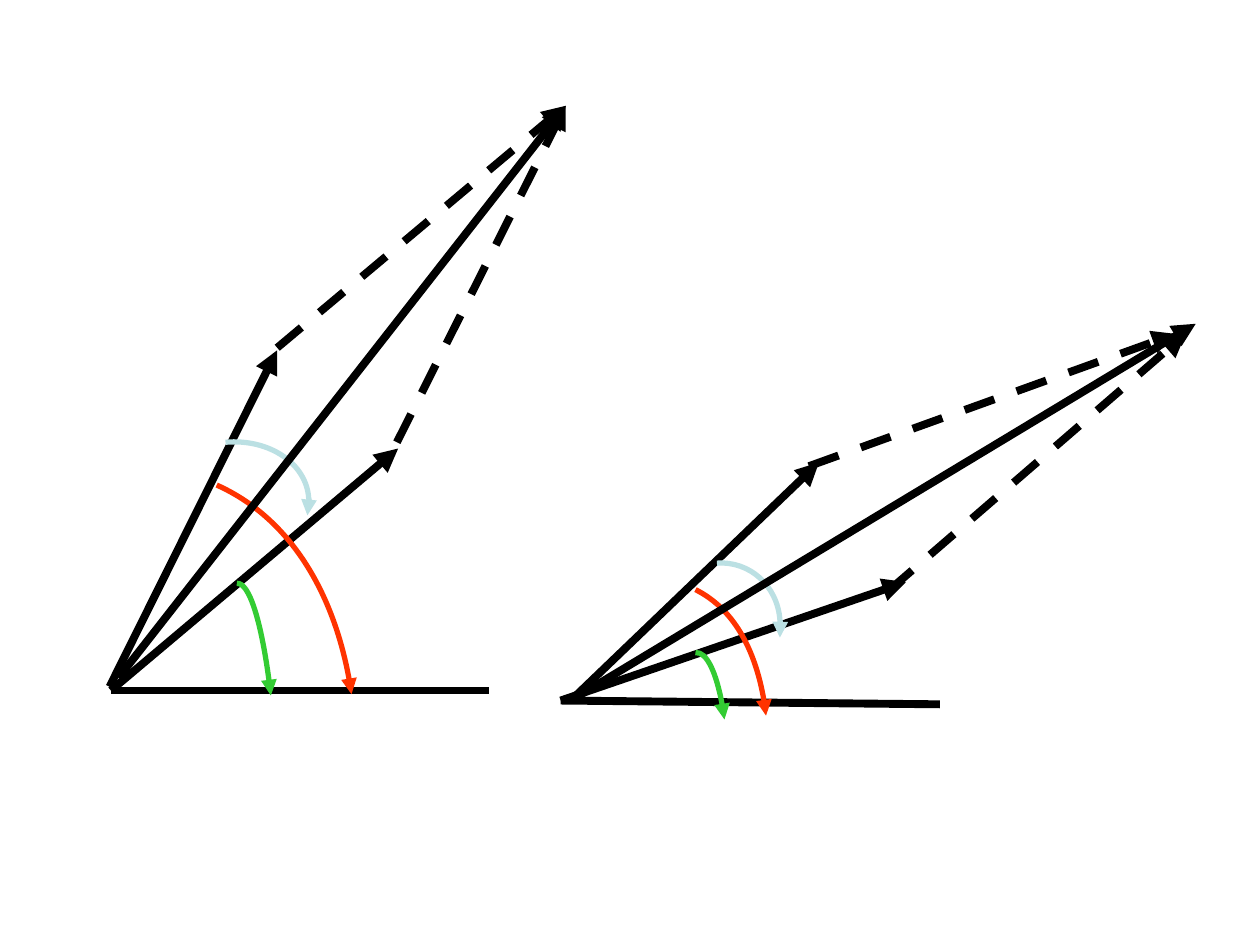
from lxml import etree
from pptx import Presentation
from pptx import util as u
from pptx.dml.color import RGBColor
from pptx.enum import dml, shapes
from pptx.oxml import ns

# Grid: 100 columns by 75 rows on a 10 by 7.5 inch slide
COLUMNS, ROWS = 100, 75
CELL = u.Inches(10) // COLUMNS

BLACK = RGBColor(0x00, 0x00, 0x00)
GREEN = RGBColor(0x33, 0xCC, 0x33)
RED = RGBColor(0xFF, 0x33, 0x00)
PALE_BLUE = RGBColor(0xBB, 0xE0, 0xE3)

# Each diagram: vectors as (start, end), arcs as Bezier points
LEFT_DIAGRAM = {
    "baseline": ((8.8, 54.8), (38.8, 54.8)),
    "lower": ((8.8, 54.8), (31.6, 35.6)),
    "upper": ((8.7, 54.5), (22, 27.8)),
    "lower_arc": [(18.8, 46.3), (19.8, 46.2), (20.9, 49.9), (21.5, 55.2)],
    "upper_arc": [(17.2, 38.5), (22.8, 41), (26.8, 47.3), (27.9, 55.1)],
    "between_arc": [(17.9, 35.1), (21.4, 34.8), (24.3, 36.8), (24.5, 39.5),
                    (24.6, 40), (24.5, 40.4), (24.4, 40.9)],
    "upper_side": ((22, 27.6), (44.9, 8.4)),
    "lower_side": ((31.5, 35.1), (44.9, 8.4)),
    "sum": ((9.4, 53.8), (44.9, 8.4)),
}
RIGHT_DIAGRAM = {
    "baseline": ((44.5, 55.6), (74.6, 55.9)),
    "lower": ((44.5, 55.6), (71.9, 46.2)),
    "upper": ((45.3, 55.6), (65, 36.7)),
    "lower_arc": [(55.2, 51.8), (56.1, 51.7), (57.1, 53.9), (57.5, 57.1)],
    "upper_arc": [(55.2, 46.8), (58.2, 48.3), (60.3, 52.1), (60.8, 56.8)],
    "between_arc": [(56.9, 44.7), (59.5, 44.5), (61.7, 46.5), (61.9, 49.2),
                    (62, 49.7), (62, 50.2), (61.9, 50.6)],
    "upper_side": ((64.2, 37), (93.3, 26.5)),
    "lower_side": ((70.5, 46.9), (94.1, 26.5)),
    "sum": ((45.3, 55.6), (94.9, 25.7)),
}


def grid_point(point):
    return tuple(round(value * CELL) for value in point)


def style_line(line, color, width, arrow=True):
    line.color.rgb = color
    line.width = u.Pt(width)
    if arrow:
        etree.SubElement(line._get_or_add_ln(), ns.qn("a:tailEnd"), type="triangle")


def add_vector(group, ends, arrow=True, dashed=False):
    start, end = map(grid_point, ends)
    connector = group.shapes.add_connector(shapes.MSO_CONNECTOR.STRAIGHT, *start, *end)
    if dashed:
        connector.line.dash_style = dml.MSO_LINE.DASH
    style_line(connector.line, BLACK, 4.5, arrow)
    etree.SubElement(connector._element.spPr, ns.qn("a:effectLst"))


def add_arc(group, points, color):
    start, *others = map(grid_point, points)
    builder = group.shapes.build_freeform(*start)
    builder.add_line_segments(others, close=False)
    arc = builder.convert_to_shape()
    arc.shadow.inherit = False
    arc.fill.background()
    style_line(arc.line, color, 3)

    # Every three straight segments become one cubic curve
    segments = list(arc._element.iter(ns.qn("a:lnTo")))
    for first in range(0, len(segments), 3):
        curve = etree.SubElement(segments[0].getparent(), ns.qn("a:cubicBezTo"))
        for segment in segments[first:first + 3]:
            curve.append(segment[0])
    for segment in segments:
        segment.getparent().remove(segment)


def add_diagram(slide, parts):
    group = slide.shapes.add_group_shape()
    # Vectors and the angles they make
    add_vector(group, parts["baseline"], arrow=False)
    add_vector(group, parts["lower"])
    add_arc(group, parts["lower_arc"], GREEN)
    add_vector(group, parts["upper"])
    add_arc(group, parts["upper_arc"], RED)
    add_arc(group, parts["between_arc"], PALE_BLUE)
    # Parallelogram sides and the resulting sum
    add_vector(group, parts["upper_side"], dashed=True)
    add_vector(group, parts["lower_side"], dashed=True)
    add_vector(group, parts["sum"])


def main():
    presentation = Presentation()
    presentation.slide_width = COLUMNS * CELL
    presentation.slide_height = ROWS * CELL
    slide = presentation.slides.add_slide(presentation.slide_layouts[6])
    for parts in (LEFT_DIAGRAM, RIGHT_DIAGRAM):
        add_diagram(slide, parts)
    presentation.save("out.pptx")


if __name__ == "__main__":
    main()
